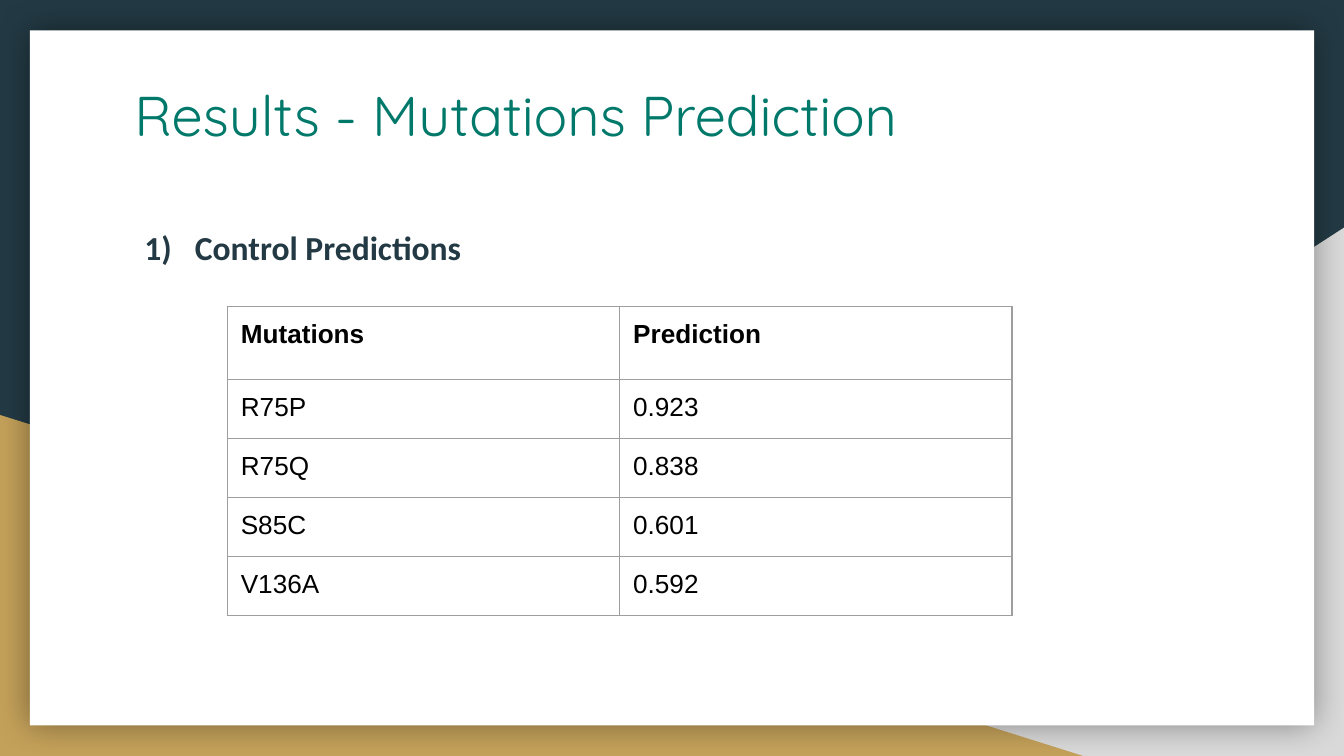
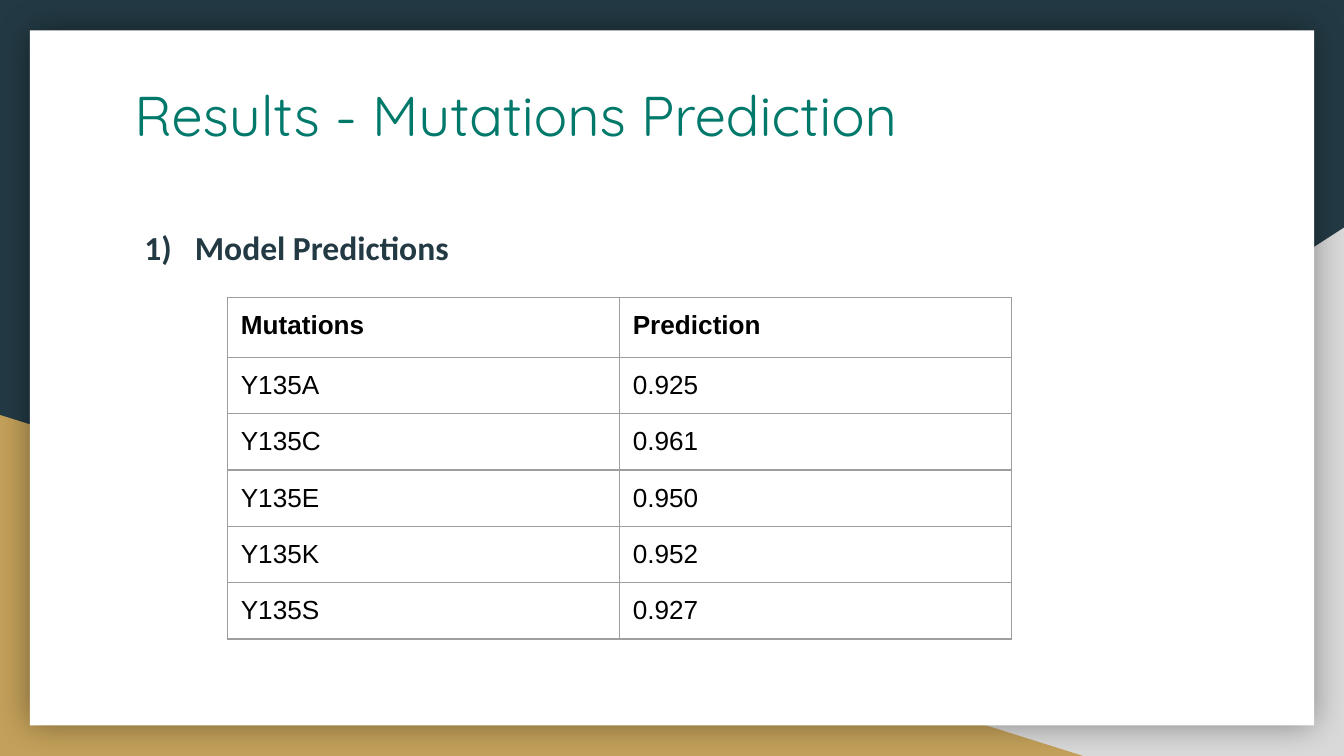
import pptx
import pptx.dml.color
import pptx.enum.shapes
import pptx.enum.text
import pptx.oxml
import pptx.oxml.ns
import pptx.util
from lxml import etree

Pt = pptx.util.Pt
RGBColor = pptx.dml.color.RGBColor
Shape = pptx.enum.shapes.MSO_SHAPE
qn = pptx.oxml.ns.qn

NAVY = RGBColor(0x23, 0x3A, 0x44)
GRAY = RGBColor(0xD9, 0xD9, 0xD9)
GOLD = RGBColor(0xC4, 0xA1, 0x5A)
WHITE = RGBColor(0xFF, 0xFF, 0xFF)
TEAL = RGBColor(0x00, 0x79, 0x6B)
BLACK = RGBColor(0x00, 0x00, 0x00)
BORDER = RGBColor(0x9E, 0x9E, 0x9E)

SLIDE_WIDTH, SLIDE_HEIGHT = 720, 405
INSET = 7.2
TITLE = "Results - Mutations Prediction"
TITLE_BOX = (64.8, 36, 591, 75)
HEADING_BOX = (61.2, 111, 612, 234)
HEADER = ("Mutations", "Prediction")
RESULTS = [
    {
        "heading": "Control Predictions",
        "box": (121.8, 164.2, 420.4, 165.6),
        "header_height": 39,
        "rows": [("R75P", "0.923"), ("R75Q", "0.838"),
                 ("S85C", "0.601"), ("V136A", "0.592")],
    },
    {
        "heading": "Model Predictions",
        "box": (121.8, 159.2, 420, 182.8),
        "header_height": 32.3,
        "rows": [("Y135A", "0.925"), ("Y135C", "0.961"), ("Y135E", "0.950"),
                 ("Y135K", "0.952"), ("Y135S", "0.927")],
    },
]


def style_runs(paragraph, font, size, color, bold=False):
    for run in paragraph.runs:
        run.font.name = font
        run.font.size = Pt(size)
        run.font.color.rgb = color
        run.font.bold = bold


def add_panel(slide, kind, box, color):
    panel = slide.shapes.add_shape(kind, *map(Pt, box))
    panel.shadow.inherit = False
    panel.fill.solid()
    panel.fill.fore_color.rgb = color
    panel.line.fill.background()
    return panel


def add_card_shadow(card):
    effects = card.element.spPr.find(qn("a:effectLst"))
    shadow = etree.SubElement(effects, qn("a:outerShdw"),
                              blurRad=str(Pt(18)), dist="0", dir="0",
                              algn="ctr", rotWithShape="0")
    color = etree.SubElement(shadow, qn("a:srgbClr"), val=str(BLACK))
    etree.SubElement(color, qn("a:alpha"), val="40000")


def build_master_backdrop(master, slide, box):
    left, top, width, height = box
    right, bottom = left + width, top + height
    gray_corner = add_panel(slide, Shape.RIGHT_TRIANGLE,
                            (right - 437.8, bottom - 283, 437.8, 283), GRAY)
    gray_corner.element.spPr.find(qn("a:xfrm")).set("flipH", "1")
    gold_corner = add_panel(slide, Shape.RIGHT_TRIANGLE,
                            (left, bottom - 182.7, 580.3, 182.7), GOLD)
    card = add_panel(slide, Shape.RECTANGLE,
                     (left + 16, top + 16.3, width - 32, height - 32.6), WHITE)
    add_card_shadow(card)

    master.background.fill.solid()
    master.background.fill.fore_color.rgb = NAVY
    for index, panel in enumerate((gray_corner, gold_corner, card)):
        panel.element.nvSpPr.cNvPr.set("id", str(20 + index))
        master.shapes.element.insert(2 + index, panel.element)


def fill_placeholder(placeholder, box, text):
    placeholder.left, placeholder.top, placeholder.width, placeholder.height = map(Pt, box)
    frame = placeholder.text_frame
    frame.text = text
    frame.word_wrap = True
    frame.auto_size = pptx.enum.text.MSO_AUTO_SIZE.NONE
    frame.vertical_anchor = pptx.enum.text.MSO_ANCHOR.TOP
    frame.margin_left = frame.margin_right = Pt(INSET)
    frame.margin_top = frame.margin_bottom = Pt(INSET)
    paragraph = frame.paragraphs[0]
    paragraph.alignment = pptx.enum.text.PP_ALIGN.LEFT
    paragraph.space_before = Pt(0)
    return paragraph


def build_title(slide, box):
    title = fill_placeholder(slide.shapes.title, box, TITLE)
    style_runs(title, "Quicksand", 30, TEAL)


def build_heading(slide, box, text):
    heading = fill_placeholder(slide.placeholders[1], box, text)
    heading.line_spacing = 1.15
    style_runs(heading, "Calibri", 18, NAVY, bold=True)
    properties = heading._p.get_or_add_pPr()
    properties.set("marL", str(Pt(36)))
    properties.set("indent", str(-Pt(27)))
    number_color = etree.SubElement(properties, qn("a:buClr"))
    etree.SubElement(number_color, qn("a:srgbClr"), val=str(NAVY))
    etree.SubElement(properties, qn("a:buFont"), typeface="Calibri")
    etree.SubElement(properties, qn("a:buAutoNum"), type="arabicParenR")


def outline_cell(cell):
    properties = cell._tc.get_or_add_tcPr()
    for index, side in enumerate(("a:lnL", "a:lnR", "a:lnT", "a:lnB")):
        line = etree.Element(qn(side), w=str(Pt(0.75)))
        fill = etree.SubElement(line, qn("a:solidFill"))
        etree.SubElement(fill, qn("a:srgbClr"), val=str(BORDER))
        properties.insert(index, line)


def build_predictions(slide, box, header_height, rows):
    records = [HEADER, *rows]
    frame = slide.shapes.add_table(len(records), len(HEADER), *map(Pt, box))
    predictions = frame.table
    predictions.first_row = False
    predictions.horz_banding = False
    for column in predictions.columns:
        column.width = Pt(box[2] / len(HEADER))
    row_height = (box[3] - header_height) / len(rows)
    for r, record in enumerate(records):
        predictions.rows[r].height = Pt(row_height if r else header_height)
        for c, value in enumerate(record):
            cell = predictions.cell(r, c)
            cell.text_frame.text = value
            cell.margin_left = cell.margin_right = Pt(INSET)
            cell.margin_top = cell.margin_bottom = Pt(INSET)
            cell.fill.background()
            outline_cell(cell)
            style_runs(cell.text_frame.paragraphs[0], "Arial", 14, BLACK, bold=r == 0)


def build_result_slide(slide, result):
    build_title(slide, TITLE_BOX)
    build_heading(slide, HEADING_BOX, result["heading"])
    build_predictions(slide, result["box"], result["header_height"], result["rows"])


def main():
    deck = pptx.Presentation()
    deck.slide_width, deck.slide_height = Pt(SLIDE_WIDTH), Pt(SLIDE_HEIGHT)
    slides = [deck.slides.add_slide(deck.slide_layouts[1]) for _ in RESULTS]
    build_master_backdrop(deck.slide_master, slides[0], (0, 0, SLIDE_WIDTH, SLIDE_HEIGHT))
    for slide, result in zip(slides, RESULTS):
        build_result_slide(slide, result)
    deck.save("out.pptx")


if __name__ == "__main__":
    main()
